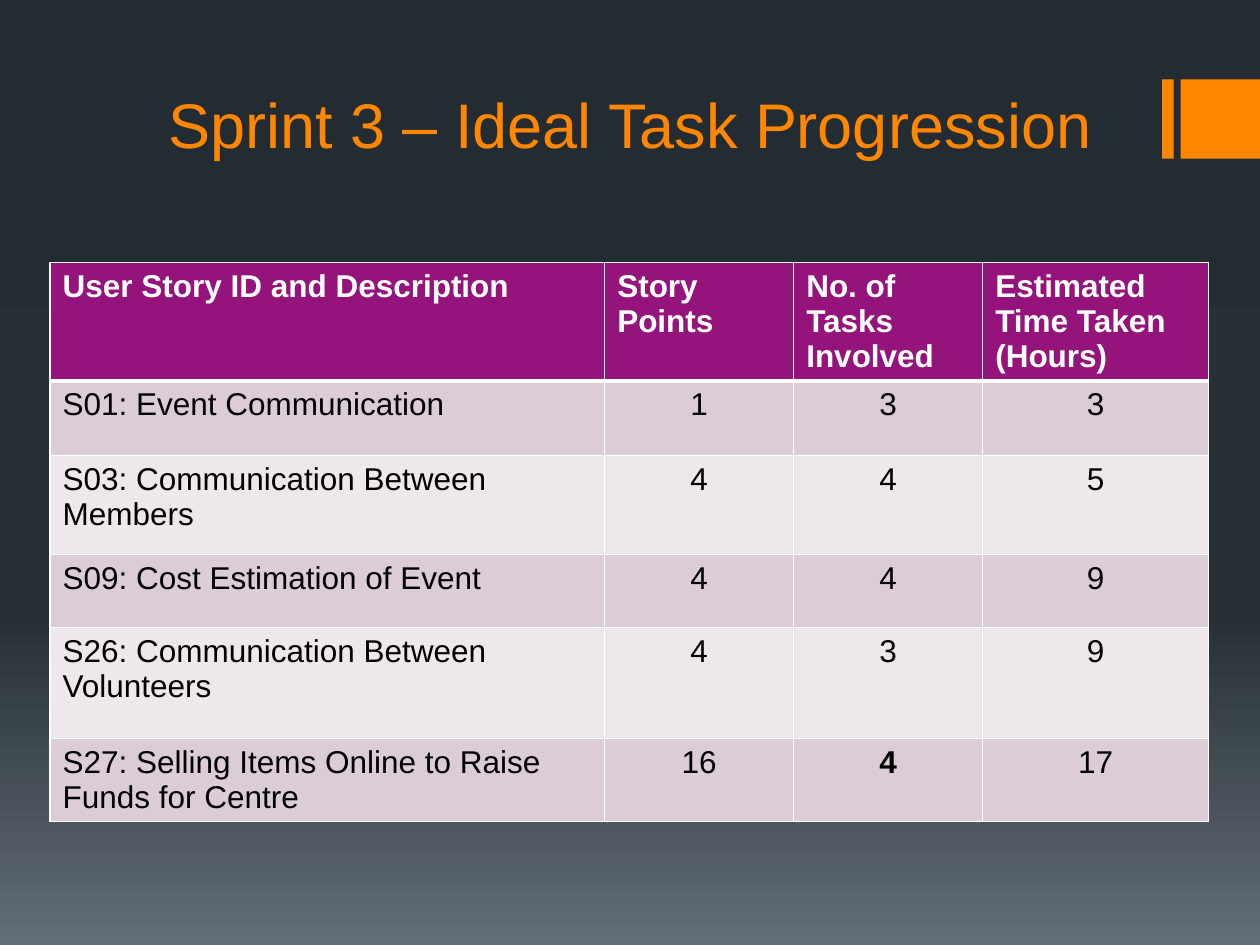
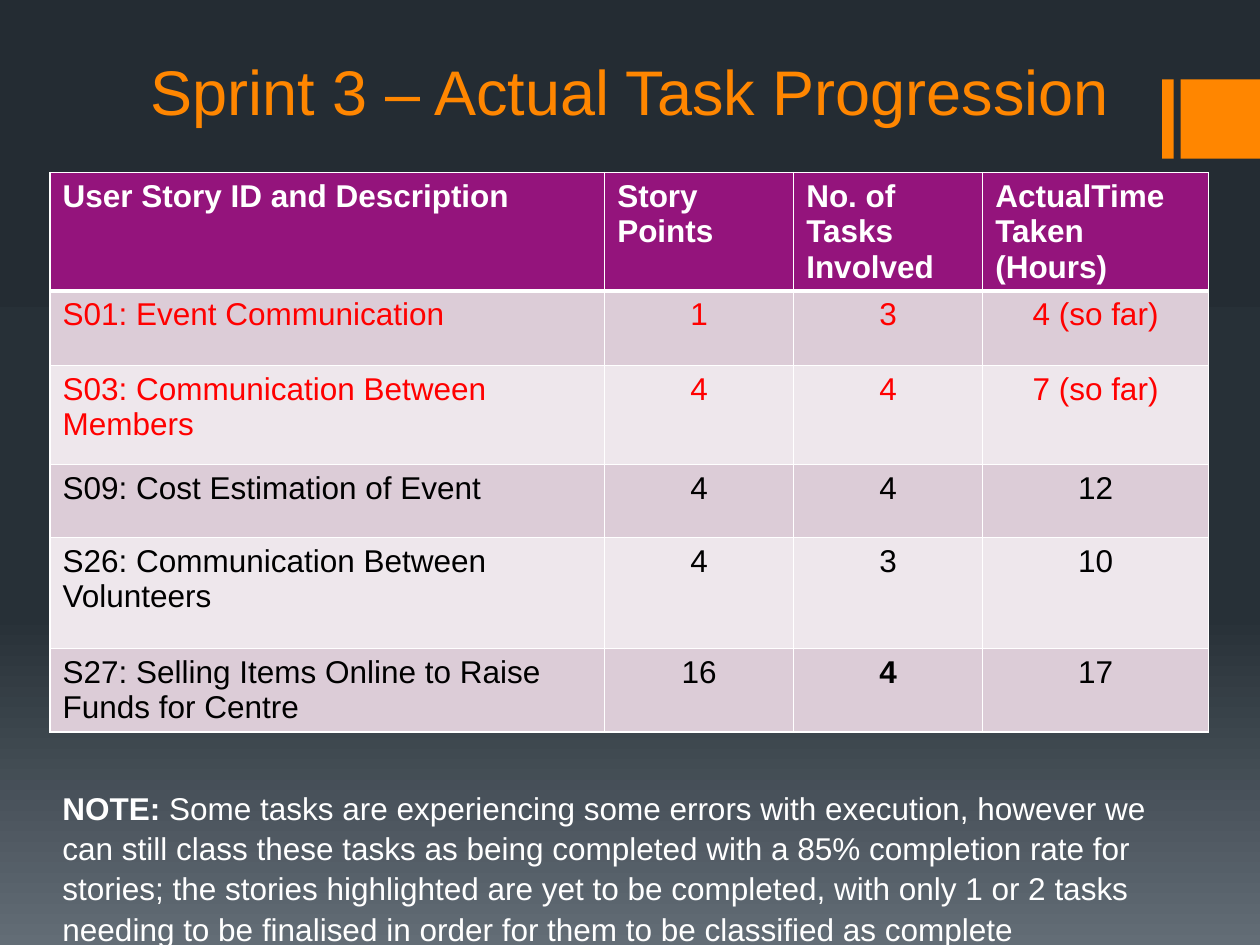
from copy import deepcopy
from dataclasses import dataclass

from lxml import etree
from pptx import Presentation
from pptx import util as u
from pptx.dml.color import RGBColor
from pptx.enum import shapes, text
from pptx.oxml import ns

COLOURS = {
    "accent": "FF8600",
    "header": "94147C",
    "band_dark": "DCCCD7",
    "band_light": "EEE7EC",
    "white": "FFFFFF",
    "black": "000000",
    "unfinished": "FF0000",
}
BACKDROP = [(0.0, "242C33"), (0.65, "273037"), (1.0, "636D76")]
FONT = "Arial"
TABLE_LEFT = u.Cm(1.01)
COLUMN_WIDTHS = [u.Cm(width) for width in (11.18, 3.81, 3.81, 4.55)]
ROW_HEIGHTS = [u.Cm(height) for height in (2.24, 1.5, 2.0, 1.47, 2.24, 1.3)]
BOLD_CELL = (5, 2)

# Stories shared by both slides: description, story points, tasks
STORIES = [
    ("S01: Event Communication", 1, 3),
    ("S03: Communication Between Members", 4, 4),
    ("S09: Cost Estimation of Event", 4, 4),
    ("S26: Communication Between Volunteers", 4, 3),
    ("S27: Selling Items Online to Raise Funds for Centre", 16, 4),
]


@dataclass
class Bar:
    left: float
    width: float


@dataclass
class Progression:
    title: str
    title_top: float
    table_top: float
    time_heading: str
    hours: list[str]
    unfinished: int = 0
    note: str = ""


BARS = [Bar(23.43, 0.23), Bar(23.8, 1.6)]
PROGRESSIONS = [
    Progression("Sprint 3 – Ideal Task Progression", 1.32, 5.29,
                "Estimated Time Taken (Hours)", ["3", "5", "9", "9", "17"]),
    Progression("Sprint 3 – Actual Task Progression", 0.66, 3.48,
                "ActualTime Taken (Hours)",
                ["4 (so far)", "7 (so far)", "12", "10", "17"],
                unfinished=2,
                note=" Some tasks are experiencing some errors with execution, "
                     "however we can still class these tasks as being completed "
                     "with a 85% completion rate for stories; the stories "
                     "highlighted are yet to be completed, with only 1 or 2 tasks "
                     "needing to be finalised in order for them to be classified "
                     "as complete"),
]


def colour(name: str) -> RGBColor:
    return RGBColor.from_string(COLOURS[name])


def write(para, words: str, *, size: float = 18, ink: str = "white",
          bold: bool = False, align=text.PP_ALIGN.LEFT) -> None:
    """Append a formatted span to a paragraph."""
    para.alignment = align
    span = para.add_run()
    span.text = words
    span.font.name = FONT
    span.font.size = u.Pt(size)
    span.font.bold = bold
    span.font.color.rgb = colour(ink)


def paint_backdrop(master) -> None:
    """Give the master a vertical three-stop gradient."""
    fill = master.background.fill
    fill.gradient()
    fill.gradient_angle = 270
    stop_list = master.element.find(".//" + ns.qn("p:bgPr")).find(
        ".//" + ns.qn("a:gsLst"))
    stop_list.append(deepcopy(stop_list[-1]))
    for stop, (position, hex_colour) in zip(fill.gradient_stops, BACKDROP):
        stop.position = position
        stop.color.rgb = RGBColor.from_string(hex_colour)


def add_bars(page) -> None:
    for bar in BARS:
        box = page.shapes.add_shape(
            shapes.MSO_SHAPE.RECTANGLE, u.Cm(bar.left), u.Cm(1.6),
            u.Cm(bar.width), u.Cm(1.6))
        box.shadow.inherit = False
        box.fill.solid()
        box.fill.fore_color.rgb = colour("accent")
        box.line.fill.background()


def set_title(page, words: str, top: float) -> None:
    box = page.shapes.title
    box.left, box.top = u.Cm(2.54), u.Cm(top)
    box.width, box.height = u.Cm(20.32), u.Cm(2.06)
    frame = box.text_frame
    frame.auto_size = text.MSO_AUTO_SIZE.NONE
    frame.vertical_anchor = text.MSO_ANCHOR.BOTTOM
    write(frame.paragraphs[0], words, size=36, ink="accent",
          align=text.PP_ALIGN.CENTER)


def set_borders(cell, top: float, bottom: float) -> None:
    """Draw white cell borders; widths are in points."""
    properties = cell._tc.get_or_add_tcPr()
    for side, width in (("L", 1), ("R", 1), ("T", top), ("B", bottom)):
        line = etree.SubElement(properties, ns.qn(f"a:ln{side}"),
                                w=str(u.Pt(width)))
        solid = etree.SubElement(line, ns.qn("a:solidFill"))
        etree.SubElement(solid, ns.qn("a:srgbClr"), val=COLOURS["white"])


def add_progress_table(page, progress: Progression) -> None:
    rows = [("User Story ID and Description", "Story Points",
             "No. of Tasks Involved", progress.time_heading)]
    rows += [(*story, hours) for story, hours in zip(STORIES, progress.hours)]
    table = page.shapes.add_table(
        len(rows), len(COLUMN_WIDTHS), TABLE_LEFT, u.Cm(progress.table_top),
        sum(COLUMN_WIDTHS), sum(ROW_HEIGHTS)).table
    for column, width in zip(table.columns, COLUMN_WIDTHS):
        column.width = width
    for row, height in zip(table.rows, ROW_HEIGHTS):
        row.height = height

    for i, values in enumerate(rows):
        heading = i == 0
        if heading:
            band, ink = "header", "white"
        else:
            band = "band_dark" if i % 2 else "band_light"
            ink = "unfinished" if i <= progress.unfinished else "black"
        for j, value in enumerate(values):
            cell = table.cell(i, j)
            set_borders(cell, top=3 if i == 1 else 1, bottom=3 if heading else 1)
            cell.fill.solid()
            cell.fill.fore_color.rgb = colour(band)
            left_aligned = heading or j == 0
            write(cell.text_frame.paragraphs[0], str(value), ink=ink,
                  bold=heading or (i, j) == BOLD_CELL,
                  align=text.PP_ALIGN.LEFT if left_aligned
                  else text.PP_ALIGN.CENTER)


def add_note(page, words: str) -> None:
    box = page.shapes.add_textbox(TABLE_LEFT, u.Cm(15.72),
                                  sum(COLUMN_WIDTHS), u.Cm(3.33))
    box.text_frame.word_wrap = True
    para = box.text_frame.paragraphs[0]
    para.line_spacing = 1.07
    write(para, "NOTE:", bold=True)
    write(para, words)


# Deck and shared background
deck = Presentation()
deck.slide_width, deck.slide_height = u.Cm(25.4), u.Cm(19.05)
paint_backdrop(deck.slide_master)
title_only = deck.slide_layouts.get_by_name("Title Only")

# One slide per progression
for progression in PROGRESSIONS:
    slide = deck.slides.add_slide(title_only)
    add_bars(slide)
    set_title(slide, progression.title, progression.title_top)
    add_progress_table(slide, progression)
    if progression.note:
        add_note(slide, progression.note)

deck.save("out.pptx")
